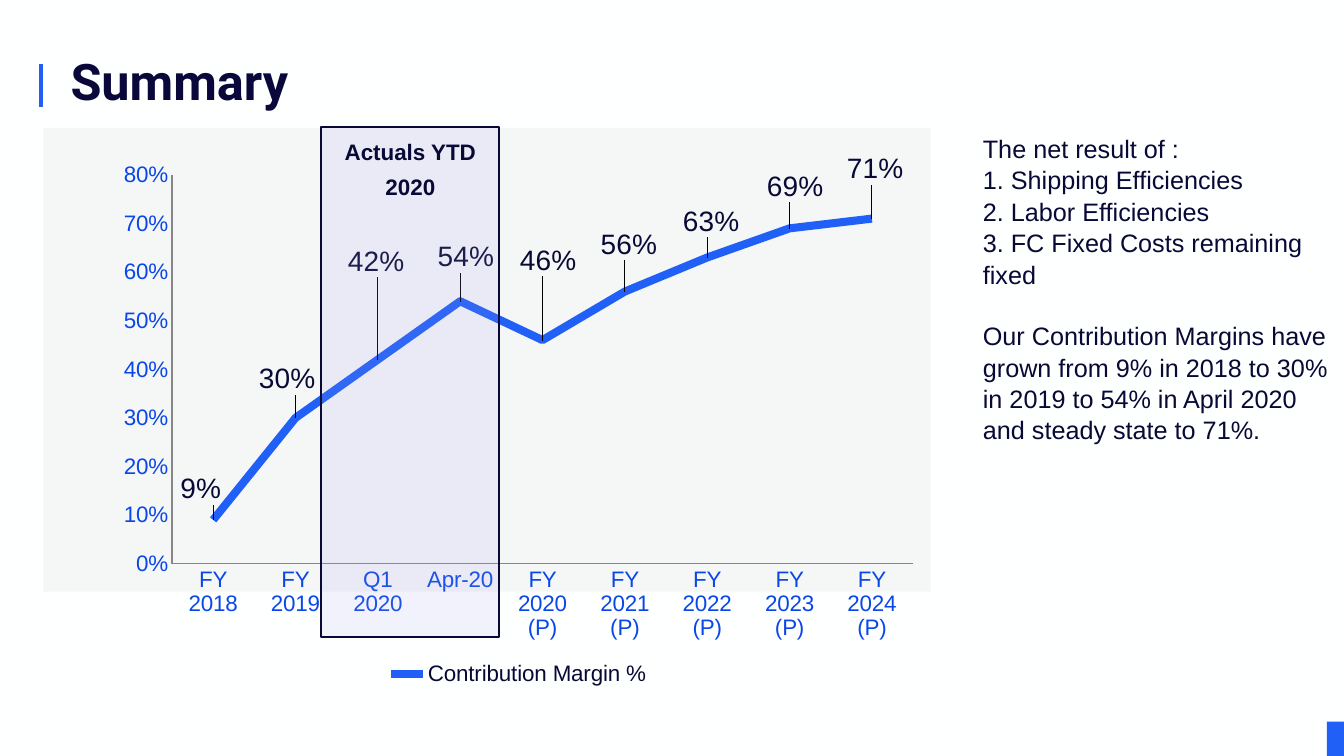
from lxml import etree
from pptx import Presentation
from pptx.chart.data import CategoryChartData
from pptx.dml.color import RGBColor
from pptx.enum.chart import XL_CHART_TYPE, XL_LABEL_POSITION, XL_LEGEND_POSITION, XL_TICK_MARK
from pptx.enum.shapes import MSO_CONNECTOR, MSO_SHAPE
from pptx.enum.text import PP_ALIGN
from pptx.oxml import parse_xml
from pptx.oxml.ns import nsdecls, qn
from pptx.util import Inches, Pt

LINE_CHART = XL_CHART_TYPE.LINE
ABOVE = XL_LABEL_POSITION.ABOVE
BOTTOM = XL_LEGEND_POSITION.BOTTOM
NO_TICK = XL_TICK_MARK.NONE
STRAIGHT = MSO_CONNECTOR.STRAIGHT
RECT = MSO_SHAPE.RECTANGLE
LEFT, CENTER = PP_ALIGN.LEFT, PP_ALIGN.CENTER

MARGINS = [
    ("FY 2018", 0.09, -0.015, -0.02),
    ("FY 2019", 0.30, -0.01, -0.035),
    ("Q1 2020", 0.42, -0.002, -0.145),
    ("Apr-20", 0.54, 0.007, -0.045),
    ("FY 2020 (P)", 0.46, 0.007, -0.11),
    ("FY 2021 (P)", 0.56, 0.005, -0.05),
    ("FY 2022 (P)", 0.63, 0.005, -0.03),
    ("FY 2023 (P)", 0.69, 0.007, -0.04),
    ("FY 2024 (P)", 0.71, 0.004, -0.055),
]
LEADER_LINES = (
    f'<c:extLst {nsdecls("c")}><c:ext uri="{{CE6537A1-D6FC-4f65-9D91-7224C49458BB}}" '
    'xmlns:c15="http://schemas.microsoft.com/office/drawing/2012/chart">'
    '<c15:showLeaderLines val="1"/></c:ext></c:extLst>'
)


def rgb(value):
    return RGBColor.from_string(value)


def layout(**values):
    tags = "".join(f'<c:{name} val="{value}"/>' for name, value in values.items())
    return parse_xml(f'<c:layout {nsdecls("c")}><c:manualLayout>{tags}</c:manualLayout></c:layout>')


class SlideBuilder:
    """Draws styled elements on one slide."""

    navy, blue, axis_blue = "090936", "2060F6", "0A47E9"
    font = "Arial"

    def __init__(self, prs):
        self.slide = prs.slides.add_slide(prs.slide_layouts[6])
        fill = self.slide.background.fill
        fill.solid()
        fill.fore_color.rgb = rgb("FEFFFF")

    def style(self, font, size, color, name=None, bold=False):
        font.size, font.bold, font.name = Pt(size), bold, name or self.font
        font.color.rgb = rgb(color)

    def rect(self, x, y, w, h, fill, line=None, alpha=None):
        sp = self.slide.shapes.add_shape(RECT, Inches(x), Inches(y), Inches(w), Inches(h))
        sp.shadow.inherit = False
        sp.fill.solid()
        sp.fill.fore_color.rgb = rgb(fill)
        if alpha:
            color = sp.fill._xPr.find(".//" + qn("a:srgbClr"))
            etree.SubElement(color, qn("a:alpha"), val=str(alpha * 1000))
        if line:
            sp.line.color.rgb = rgb(line)
            sp.line.width = Pt(1.5)
        else:
            sp.line.fill.background()

    def line(self, x1, y1, x2, y2, color, width):
        cx = self.slide.shapes.add_connector(STRAIGHT, Inches(x1), Inches(y1), Inches(x2), Inches(y2))
        cx.line.color.rgb = rgb(color)
        cx.line.width = Pt(width)
        etree.SubElement(cx._element.spPr, qn("a:effectLst"))

    def text(self, x, y, w, h, lines, size, color=navy, name=None, bold=False,
             align=LEFT, spacing=1.0, inset=(0, 0), gaps=None):
        tf = self.slide.shapes.add_textbox(Inches(x), Inches(y), Inches(w), Inches(h)).text_frame
        tf.word_wrap = True
        tf.margin_left = tf.margin_right = Inches(inset[0])
        tf.margin_top = tf.margin_bottom = Inches(inset[1])
        for i, line in enumerate(lines):
            p = tf.add_paragraph() if i else tf.paragraphs[0]
            p.alignment, p.line_spacing = align, spacing
            if gaps and i in gaps:
                p.space_before = Pt(gaps[i])
            r = p.add_run()
            r.text = line
            self.style(r.font, size, color, name, bold)

    def axis(self, axis):
        axis.has_major_gridlines = False
        axis.major_tick_mark = axis.minor_tick_mark = NO_TICK
        axis.format.line.color.rgb = rgb("868686")
        axis.format.line.width = Pt(0.75)
        self.style(axis.tick_labels.font, 16, self.axis_blue)

    def margin_chart(self, x, y, w, h):
        data = CategoryChartData(number_format="0%")
        data.categories = [row[0] for row in MARGINS]
        data.add_series("Contribution Margin %", [row[1] for row in MARGINS])
        chart = self.slide.shapes.add_chart(
            LINE_CHART, Inches(x), Inches(y), Inches(w), Inches(h), data).chart
        self.style(chart.font, 10, self.navy)
        chart.has_title = False
        chart.has_legend = True
        chart.legend.position = BOTTOM
        chart.legend.include_in_layout = False
        self.style(chart.legend.font, 16, self.navy)
        chart.legend._element.find(qn("c:legendPos")).addnext(
            layout(xMode="edge", yMode="edge", x=0.31, y=0.935))
        self.axis(chart.category_axis)
        self.axis(chart.value_axis)
        chart.value_axis.minimum_scale = 0
        chart.value_axis.maximum_scale = 0.8
        chart.value_axis.major_unit = 0.1
        chart.value_axis.tick_labels.number_format = "0%"
        chart.value_axis.tick_labels.number_format_is_linked = False
        plot_area = chart._chartSpace.chart.plotArea
        for old in plot_area.findall(qn("c:layout")):
            plot_area.remove(old)
        plot_area.insert(0, layout(layoutTarget="inner", xMode="edge", yMode="edge",
                                   x=0.078, y=0.044, w=0.902, h=0.721))
        chart.plots[0].vary_by_categories = False
        self.margin_series(chart.plots[0].series[0])

    def margin_series(self, series):
        series.smooth = False
        series.format.line.color.rgb = rgb(self.blue)
        series.format.line.width = Pt(5.75)
        labels = series.data_labels
        labels.show_value = True
        self.style(labels.font, 20, self.navy)
        for i, (_, _, dx, dy) in enumerate(MARGINS):
            label = series.points[i].data_label
            self.style(label.font, 20, self.navy)
            label.position = ABOVE
        for item, (_, _, dx, dy) in zip(labels._element.findall(qn("c:dLbl")), MARGINS):
            item.find(qn("c:idx")).addnext(layout(x=dx, y=dy))
        labels._element.append(parse_xml(LEADER_LINES))


def main():
    prs = Presentation()
    prs.slide_width, prs.slide_height = Inches(13.33), Inches(7.5)
    s = SlideBuilder(prs)
    s.rect(13.16, 7.16, 0.17, 0.34, s.blue)
    s.line(0.41, 0.64, 0.41, 1.06, s.blue, 3)
    s.text(0.7, 0.5, 12.2, 1.21, ["Summary"], 36, "0A083B", "Roboto", True)
    s.rect(0.43, 1.27, 8.8, 4.6, "F5F6F6")
    s.margin_chart(1.07, 1.5, 8.15, 5.35)
    s.rect(3.18, 1.26, 1.77, 5.06, "9F9FEF", s.navy, 13)
    s.text(3.37, 1.3, 1.4, 0.32, ["Actuals YTD 2020"], 16, bold=True, align=CENTER, spacing=1.28)
    s.text(9.65, 1.26, 3.68, 3.13, [
        "The net result of :",
        "1. Shipping Efficiencies",
        "2. Labor Efficiencies",
        "3. FC Fixed Costs remaining fixed",
        "Our Contribution Margins have grown from 9% in 2018 to 30% in 2019 "
        "to 54% in April 2020 and steady state to 71%.",
    ], 18, spacing=1.04, inset=(0.1, 0.05), gaps={4: 21.6})
    prs.save("out.pptx")


if __name__ == "__main__":
    main()
